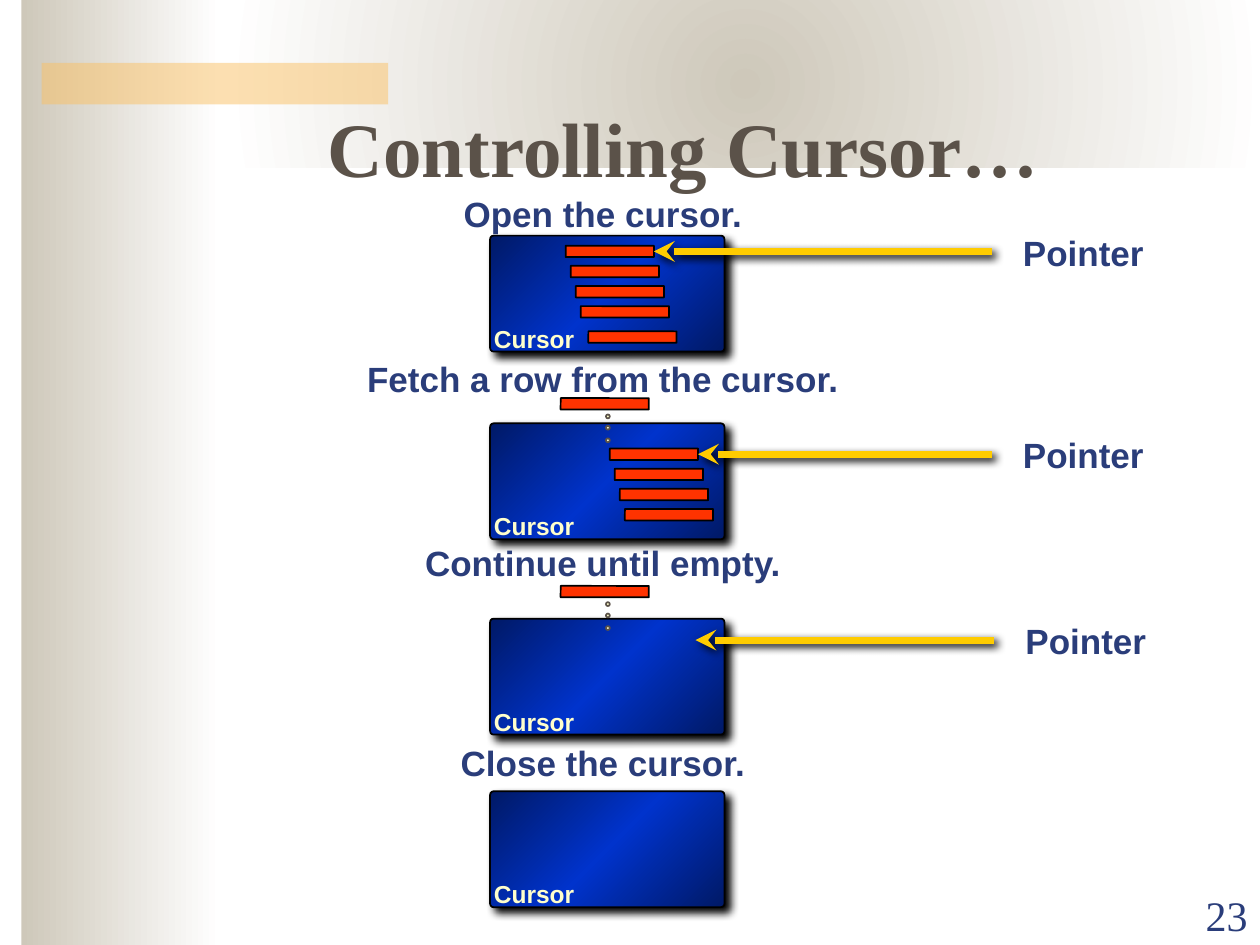
from lxml import etree
from pptx import Presentation
from pptx.dml.color import RGBColor
from pptx.enum.shapes import MSO_CONNECTOR, MSO_SHAPE
from pptx.enum.text import MSO_ANCHOR, PP_ALIGN
from pptx.oxml import parse_xml
from pptx.oxml.ns import nsdecls, qn
from pptx.util import Inches, Pt

RECT, ROUND, OVAL = MSO_SHAPE.RECTANGLE, MSO_SHAPE.ROUNDED_RECTANGLE, MSO_SHAPE.OVAL
LEFT, CENTER, RIGHT = PP_ALIGN.LEFT, PP_ALIGN.CENTER, PP_ALIGN.RIGHT
TOP, BOTTOM = MSO_ANCHOR.TOP, MSO_ANCHOR.BOTTOM
LINE = MSO_CONNECTOR.STRAIGHT

HUES = {
    "sand": "CEC8BA", "white": "FFFFFF", "gold": "FAC164", "brown": "5B5249",
    "navy": "2A3D7A", "dark": "001966", "blue": "0033CC", "cream": "FFFFCC",
    "red": "FF3300", "black": "000000", "yellow": "FFCC00",
}
SANS, SERIF = "Arial", "Times New Roman"

ROW_W, ROW_H = 0.7, 0.09
BOX_X, BOX_W, BOX_H = 3.89, 1.86, 0.92
MID = 4.785  # centre line of the step captions


def rgb(name):
    return RGBColor.from_string(HUES[name])


def write(shape, words, size=20, font=SANS, hue="navy", bold=True,
          align=LEFT, anchor=TOP, pad=(0.1, 0.05), gap=1.0):
    frame = shape.text_frame
    frame.word_wrap = True
    frame.vertical_anchor = anchor
    frame.margin_left = frame.margin_right = Inches(pad[0])
    frame.margin_top = frame.margin_bottom = Inches(pad[1])
    par = frame.paragraphs[0]
    par.alignment = align
    par.line_spacing = gap
    run = par.add_run()
    run.text = words
    run.font.size, run.font.name, run.font.bold = Pt(size), font, bold
    run.font.color.rgb = rgb(hue)


def shade(item, dist):
    """Give a shape or connector a black shadow to the lower right."""
    props = item._element.spPr
    for old in props.findall(qn("a:effectLst")):
        props.remove(old)
    props.append(parse_xml(
        f'<a:effectLst {nsdecls("a")}><a:outerShdw blurRad="{Pt(5)}" '
        f'dist="{Pt(dist)}" dir="2700000" algn="ctr" rotWithShape="0">'
        f'<a:srgbClr val="{HUES["black"]}"/></a:outerShdw></a:effectLst>'))


def blend(shape, hues, angle=None):
    """Spread hues evenly along an angle, or outwards from the centre."""
    stops = "".join(
        f'<a:gs pos="{100000 * i // (len(hues) - 1)}">'
        f'<a:srgbClr val="{HUES[hue]}"/></a:gs>' for i, hue in enumerate(hues))
    if angle is None:
        way = ('<a:path path="circle"><a:fillToRect l="50000" t="50000" '
               'r="50000" b="50000"/></a:path>')
    else:
        way = f'<a:lin ang="{angle * 60000}" scaled="0"/>'
    props = shape._element.spPr
    old = props.find(qn("a:solidFill"))
    props.replace(old, parse_xml(
        f'<a:gradFill {nsdecls("a")} rotWithShape="1">'
        f'<a:gsLst>{stops}</a:gsLst>{way}</a:gradFill>'))


class Deck:
    def __init__(self):
        self.prs = Presentation()
        self.prs.slide_width, self.prs.slide_height = Inches(10), Inches(7.5)
        self.slide = self.prs.slides.add_slide(self.prs.slide_layouts[5])
        self.shapes = self.slide.shapes

    def shape(self, kind, x, y, w, h, fill, line=None):
        item = self.shapes.add_shape(kind, Inches(x), Inches(y), Inches(w), Inches(h))
        item.shadow.inherit = False
        item.fill.solid()
        item.fill.fore_color.rgb = rgb(fill)
        if line:
            item.line.color.rgb = rgb(line)
            item.line.width = Pt(1)
        else:
            item.line.fill.background()
        if kind == ROUND:
            item.adjustments[0] = 0.03
        return item

    def title(self, words, x, y, w, h):
        item = self.shapes.title
        item.left, item.top, item.width, item.height = map(Inches, (x, y, w, h))
        write(item, words, size=44, font=SERIF, hue="brown", align=CENTER, anchor=BOTTOM)
        self.shapes._spTree.append(item._element)  # in front of the backdrop

    def text(self, words, x, y, w, h, **style):
        item = self.shapes.add_textbox(Inches(x), Inches(y), Inches(w), Inches(h))
        write(item, words, **style)

    def row(self, x, y):
        return self.shape(ROUND, x, y, ROW_W, ROW_H, "red", "black")

    def box(self, y):
        item = self.shape(ROUND, BOX_X, y, BOX_W, BOX_H, "blue", "black")
        blend(item, ["dark", "blue", "dark"], 45)
        shade(item, 4.2)
        self.text("Cursor", BOX_X - 0.03, y + 0.67, 0.86, 0.3,
                  size=14, hue="cream", pad=(0.06, 0.03))

    def fetch(self, y):
        """A row that has left the cursor, with its trail of dots."""
        for drop in (0.32, 0.22, 0.13):
            self.shape(OVAL, 4.81, y + drop, 0.03, 0.03, "cream", "brown")
        self.row(4.45, y)

    def arrow(self, start, end, y, row=None):
        self.text("Pointer", start + 0.15, y - 0.21, 1.41, 0.43)
        item = self.shapes.add_connector(
            LINE, Inches(start), Inches(y), Inches(end), Inches(y))
        if row is not None:
            item.end_connect(row, 3)
        item.line.color.rgb = rgb("yellow")
        item.line.width = Pt(4)
        etree.SubElement(item._element.spPr.find(qn("a:ln")),
                         qn("a:tailEnd"), type="stealth")
        shade(item, 2.8)

    def step(self, words, y, w, box, rows=(), out=None, start=None, end=None, aim=None):
        self.text(words, MID - w / 2, y, w, 0.42, align=CENTER, gap=0.95)
        self.box(box)
        bars = [self.row(*spot) for spot in rows]
        if out is not None:
            self.fetch(out)
        if bars:
            self.arrow(start, rows[0][0] + ROW_W, rows[0][1] + ROW_H / 2, bars[0])
        elif start is not None:
            self.arrow(start, end, aim)


def stack(x, y):
    return [(x + 0.04 * i, y + 0.16 * i) for i in range(4)]


def main():
    deck = Deck()

    # Backdrop
    side = deck.shape(RECT, 0.17, 0, 1.58, 7.5, "sand")
    blend(side, ["sand", "white"], 0)
    head = deck.shape(RECT, 1.83, 0, 8.17, 1.33, "sand")
    blend(head, ["sand", "white"])
    band = deck.shape(RECT, 0.33, 0.5, 2.75, 0.33, "gold")
    tint = band._element.spPr.find(qn("a:solidFill"))[0]
    etree.SubElement(tint, qn("a:alpha"), val="50000")

    # Page number and title
    deck.text("23", 9, 7.01, 1, 0.5, size=24, font=SERIF, bold=False,
              align=RIGHT, anchor=BOTTOM)
    deck.title("Controlling Cursor…", 2.5, 0.75, 5.85, 0.83)

    # Life of the cursor, step by step
    deck.step("Open the cursor.", 1.5, 3.15, 1.87,
              rows=stack(4.49, 1.95) + [(4.67, 2.63)], start=7.87)
    deck.step("Fetch a row from the cursor.", 2.81, 4.55, 3.36,
              rows=stack(4.84, 3.56), out=3.16, start=7.87)
    deck.step("Continue until empty.", 4.27, 3.59, 4.91,
              out=4.65, start=7.89, end=5.52, aim=5.08)
    deck.step("Close the cursor.", 5.86, 3.15, 6.28)

    deck.prs.save("out.pptx")


if __name__ == "__main__":
    main()
